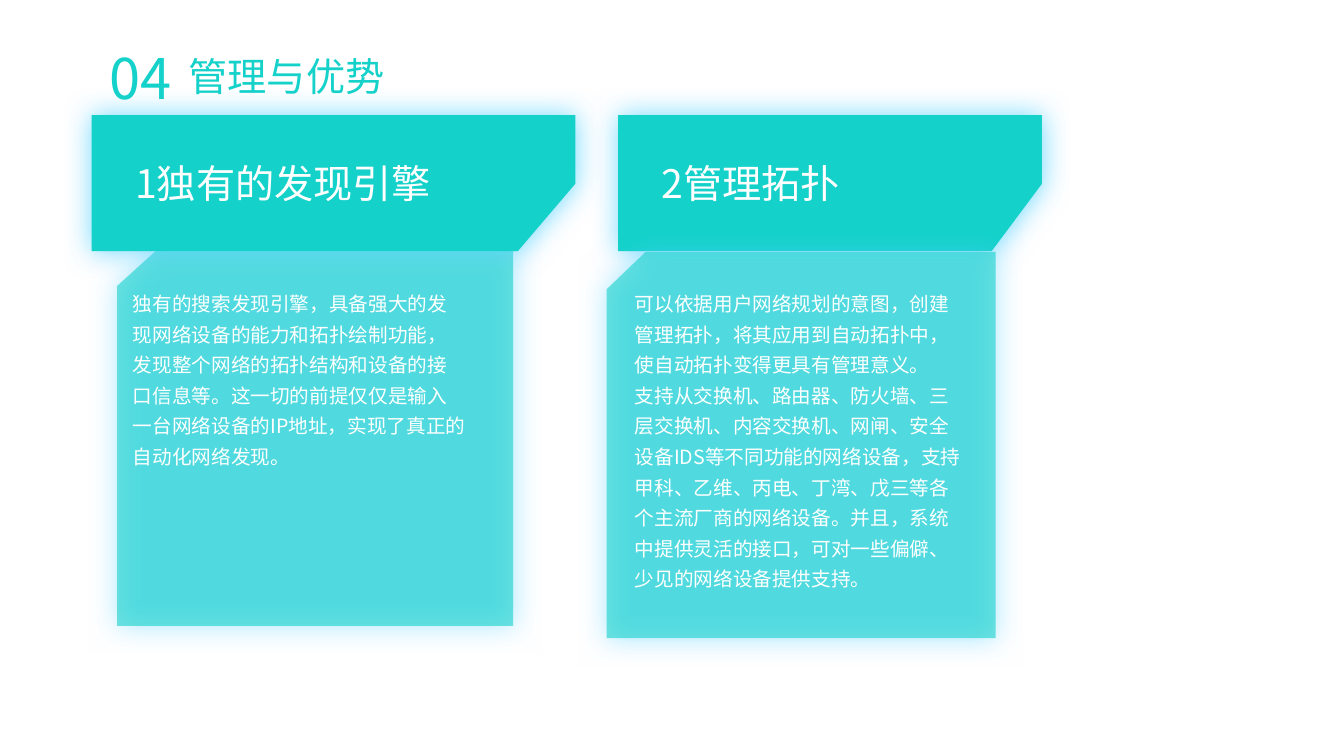
from pptx import Presentation, oxml
from pptx import util as u
from pptx.dml.color import RGBColor
from pptx.enum import text as t
from pptx.oxml import ns

TEAL = RGBColor(0x14, 0xD1, 0xCA)
CYAN = RGBColor(0x54, 0xF3, 0xFF)
GLOW = RGBColor(0x53, 0xD2, 0xFF)
WHITE = RGBColor(0xFF, 0xFF, 0xFF)
FACE = "Noto Sans CJK SC"
TOP = 2.9

FIND = ["独有的搜索发现引擎，具备强大的发现网络设备的能力和拓扑绘制功能，"
        "发现整个网络的拓扑结构和设备的接口信息等。这一切的前提仅仅是输入"
        "一台网络设备的IP地址，实现了真正的自动化网络发现。"]
MAP = ["可以依据用户网络规划的意图，创建管理拓扑，将其应用到自动拓扑中，"
       "使自动拓扑变得更具有管理意义。",
       "支持从交换机、路由器、防火墙、三层交换机、内容交换机、网闸、安全"
       "设备IDS等不同功能的网络设备，支持甲科、乙维、丙电、丁湾、戊三等"
       "各个主流厂商的网络设备。并且，系统中提供灵活的接口，可对一些偏僻、"
       "少见的网络设备提供支持。"]


def put_run(para, words, size, color=None):
    """Add a run in the given colour, or in the heading gradient."""
    run = para.add_run()
    run.text = words
    font = run.font
    font.size = u.Pt(size)
    font.name = FACE
    if color is None:
        font.fill.gradient()
        font.fill.gradient_angle = 270
        for stop, shade in zip(font.fill.gradient_stops, (TEAL, CYAN)):
            stop.color.rgb = shade
    else:
        font.color.rgb = color
    asian = oxml.parse_xml(f'<a:ea {ns.nsdecls("a")} typeface="{FACE}"/>')
    font.latin = None
    run.font._element.find(ns.qn("a:latin")).addnext(asian)


def set_frame(frame, fit, anchor=t.MSO_ANCHOR.TOP):
    """Set wrapping, fitting and anchoring of a text frame."""
    frame.word_wrap = True
    frame.auto_size = fit
    frame.vertical_anchor = anchor


def add_text(slide, box, paras, size, color=None, gap=None, side=0.25):
    """Add a text box with one run in each paragraph."""
    shape = slide.shapes.add_textbox(*map(u.Cm, box))
    frame = shape.text_frame
    set_frame(frame, t.MSO_AUTO_SIZE.SHAPE_TO_FIT_TEXT)
    frame.margin_left = frame.margin_right = u.Cm(side)
    for i, words in enumerate(paras):
        para = frame.add_paragraph() if i else frame.paragraphs[0]
        para.line_spacing = gap
        put_run(para, words, size, color)


def add_panel(slide, points, alpha=100):
    """Add a teal outline shape with a soft glowing shadow."""
    spots = [(u.Cm(x), u.Cm(y)) for x, y in points]
    maker = slide.shapes.build_freeform(*spots[0])
    maker.add_line_segments(spots[1:], close=True)
    shape = maker.convert_to_shape()
    shape.fill.solid()
    shape.fill.fore_color.rgb = TEAL
    shape.line.fill.background()
    shape.shadow.inherit = False
    if alpha < 100:
        tint = shape._element.spPr.find(".//" + ns.qn("a:srgbClr"))
        tint.append(oxml.parse_xml(
            f'<a:alpha {ns.nsdecls("a")} val="{alpha * 1000}"/>'))
    glow = oxml.parse_xml(
        f'<a:outerShdw {ns.nsdecls("a")} blurRad="{u.Pt(20)}" dist="0" dir="0"'
        f' algn="ctr" rotWithShape="0"><a:srgbClr val="{GLOW}">'
        '<a:alpha val="80000"/></a:srgbClr></a:outerShdw>')
    shape._element.spPr.find(ns.qn("a:effectLst")).append(glow)
    return shape


def add_head(slide, left, wide, cut, words):
    """Add a banner whose lower right corner is cut off."""
    right, low = left + wide, TOP + 3.43
    shape = add_panel(slide, [(left, TOP), (right, TOP), (right, TOP + 1.73),
                              (right - cut, low), (left, low)])
    frame = shape.text_frame
    set_frame(frame, t.MSO_AUTO_SIZE.NONE, t.MSO_ANCHOR.MIDDLE)
    frame.margin_left = u.Cm(1.1)
    para = frame.paragraphs[0]
    para.alignment = t.PP_ALIGN.LEFT
    put_run(para, words, 28, WHITE)


def add_body(slide, left, top, wide, high, drop):
    """Add a pale panel whose upper left corner is cut off."""
    right, low = left + wide, top + high
    add_panel(slide, [(left, top + drop), (left + 0.98, top), (right, top),
                      (right, low), (left, low)], alpha=60)


def set_title(slide, words):
    """Place the title at the front and format it."""
    title = slide.shapes.title
    title.left, title.top = u.Cm(4.5), u.Cm(1.19)
    title.width, title.height = u.Cm(16.87), u.Cm(1.45)
    set_frame(title.text_frame, t.MSO_AUTO_SIZE.NONE)
    para = title.text_frame.paragraphs[0]
    para.alignment = t.PP_ALIGN.LEFT
    put_run(para, words, 28)
    slide.shapes.element.append(title.element)


def main():
    """Build the slide and save it."""
    deck = Presentation()
    deck.slide_width, deck.slide_height = u.Cm(33.87), u.Cm(19.05)
    slide = deck.slides.add_slide(deck.slide_layouts[5])

    add_body(slide, 2.95, 6.32, 9.98, 9.45, 0.89)
    add_text(slide, (3.35, 7.06, 8.41, 4.9), FIND, 14, WHITE, 1.3, 0)
    add_head(slide, 2.31, 12.19, 1.45, "1独有的发现引擎")

    add_head(slide, 15.58, 10.68, 1.27, "2管理拓扑")
    add_body(slide, 15.29, 6.35, 9.8, 9.73, 0.94)
    add_text(slide, (16, 7.06, 8.41, 8.03), MAP, 14, WHITE, 1.3, 0)

    set_title(slide, "管理与优势")
    add_text(slide, (2.51, 0.97, 2.29, 1.96), ["04"], 40)
    deck.save("out.pptx")


main()
